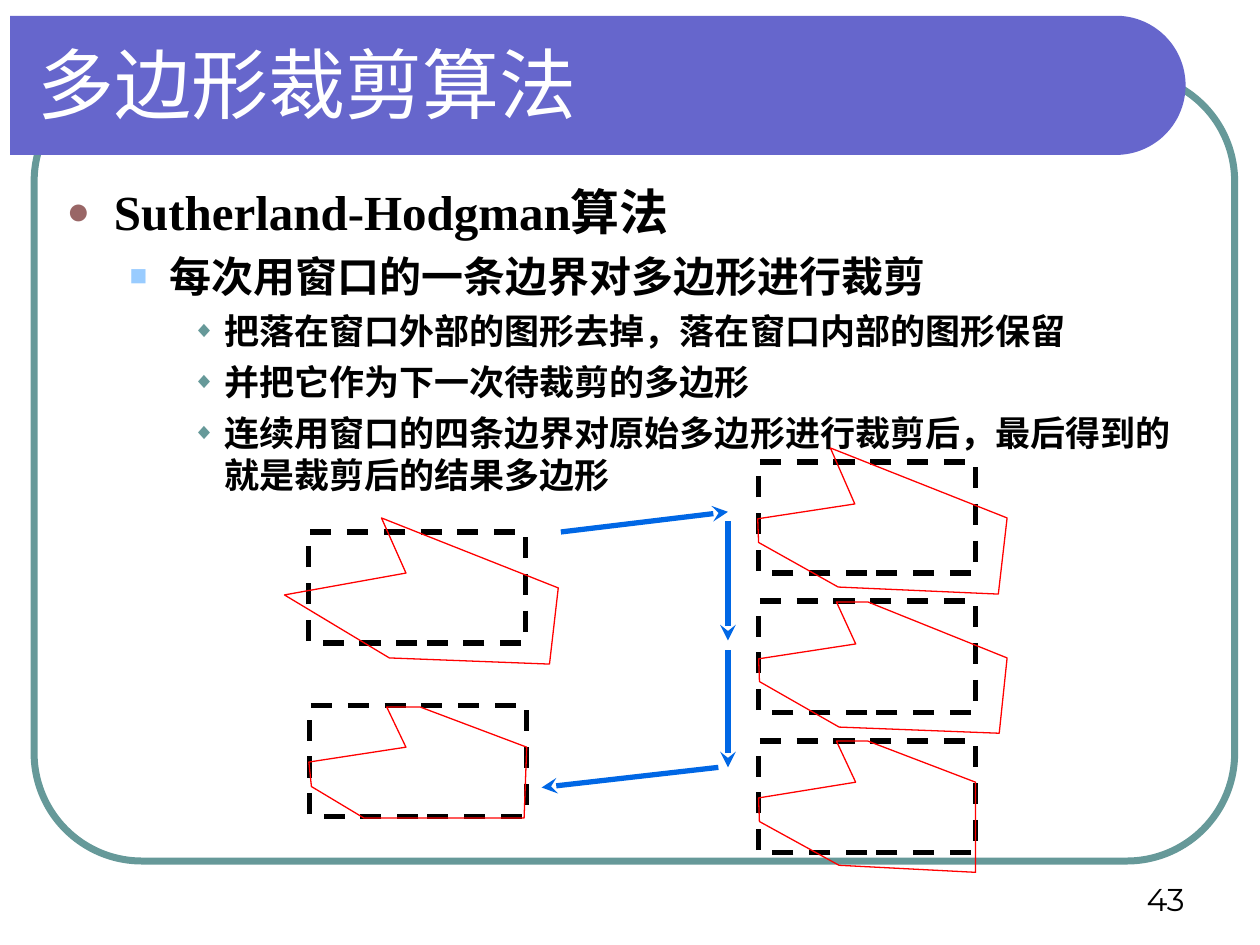
import math

from lxml import etree
from pptx import Presentation
from pptx.dml.color import RGBColor
from pptx.enum import dml, shapes, text
from pptx.oxml.ns import qn
from pptx.util import Pt

TITLE_ONLY = 5
WINDOW_SIZE = (124, 63.5)

# Bullet level: indent, hanging, space before, size, character, colour, percent
LEVELS = [
    (27, 27, 7, 28, "●", "996666", 80),
    (58.5, 22.5, 6, 24, "■", "99CCFF", 70),
    (90, 18, 5, 20, "◆", "669999", 65),
]
BULLETS = [
    (0, "Sutherland-Hodgman算法"),
    (1, "每次用窗口的一条边界对多边形进行裁剪"),
    (2, "把落在窗口外部的图形去掉，落在窗口内部的图形保留"),
    (2, "并把它作为下一次待裁剪的多边形"),
    (2, "连续用窗口的四条边界对原始多边形进行裁剪后，最后得到的就是裁剪后的结果多边形"),
]

# Each stage: window corner, then polygon points measured from that corner
STAGES = [
    ((176.5, 304), [(41.5, -8), (55.5, 23.5), (-14, 36), (46, 72),
                    (137.5, 75.5), (142.5, 32)]),
    ((433.5, 264), [(41, -8), (55, 24), (-0.5, 32.5), (0, 46), (45.5, 71.5),
                    (137, 75.5), (142, 32)]),
    ((433.5, 343.5), [(62.5, 0.5), (44.5, 0.5), (55.5, 24.5), (0, 33),
                      (0.5, 46), (46, 72), (137.5, 75.5), (142, 32.5)]),
    ((433.5, 423.5), [(62.5, 0), (44.5, 0), (55.5, 23.5), (0, 32.5),
                      (0.5, 46), (46, 71), (124, 75), (124, 23.5)]),
    ((177, 403), [(63, 1), (44, 1), (55, 24), (-0.5, 32.5), (1, 46.5),
                  (31, 64.5), (122.5, 64.5), (124, 24)]),
]
ARROWS = [
    ((320.5, 304), (416, 292.5)),
    ((416, 298), (416, 366)),
    ((416, 371.5), (416, 438.5)),
    ((410.5, 438.5), (309.5, 450)),
]


def rgb(value):
    return RGBColor.from_string(value)


class SlideBuilder:
    banner, frame = "6666CC", "669999"
    ink, polygon_red, arrow_blue = "000000", "FF0000", "0067E5"

    def __init__(self, slide):
        self.slide = slide

    def style(self, shape, fill=None, line=None, width=1):
        shape.shadow.inherit = False
        if fill:
            shape.fill.solid()
            shape.fill.fore_color.rgb = rgb(fill)
        else:
            shape.fill.background()
        if line:
            shape.line.color.rgb = rgb(line)
            shape.line.width = Pt(width)
        else:
            shape.line.fill.background()

    def preset(self, kind, left, top, width, height, line, weight):
        shape = self.slide.shapes.add_shape(
            kind, Pt(left), Pt(top), Pt(width), Pt(height))
        self.style(shape, line=line, width=weight)
        return shape

    def outline(self, points, **look):
        points = [(Pt(x), Pt(y)) for x, y in points]
        builder = self.slide.shapes.build_freeform(*points[0])
        builder.add_line_segments(points[1:], close=True)
        self.style(builder.convert_to_shape(), **look)

    def title_banner(self, left, top, right, bottom):
        """Draw a bar whose right end is a half circle."""
        radius = (bottom - top) / 2
        angles = [math.radians(a) for a in range(-90, 91, 3)]
        arc = [(right - radius + radius * math.cos(a),
                top + radius + radius * math.sin(a)) for a in angles]
        self.outline([(left, top), *arc, (left, bottom)], fill=self.banner)

    def window(self, left, top):
        shape = self.preset(shapes.MSO_SHAPE.RECTANGLE, left, top,
                            *WINDOW_SIZE, self.ink, 3)
        shape.line.dash_style = dml.MSO_LINE.DASH

    def arrow(self, start, end):
        line = self.slide.shapes.add_connector(
            shapes.MSO_CONNECTOR.STRAIGHT, *map(Pt, start + end))
        line.line.color.rgb = rgb(self.arrow_blue)
        line.line.width = Pt(3)
        etree.SubElement(line.line._get_or_add_ln(), qn("a:tailEnd"),
                         type="stealth")
        etree.SubElement(line._element.spPr, qn("a:effectLst"))

    def set_font(self, para, name, size, color, bold=False):
        para.font.name = name
        para.font.size = Pt(size)
        para.font.bold = bold
        para.font.color.rgb = rgb(color)

    def title(self, words, left, top, width, height):
        box = self.slide.shapes.title
        box.left, box.top = Pt(left), Pt(top)
        box.width, box.height = Pt(width), Pt(height)
        frame = box.text_frame
        frame.text = words
        frame.auto_size = text.MSO_AUTO_SIZE.NONE
        frame.vertical_anchor = text.MSO_ANCHOR.MIDDLE
        para = frame.paragraphs[0]
        para.alignment = text.PP_ALIGN.LEFT
        self.set_font(para, "Arial", 44, "FFFFFF")

    def text_box(self, left, top, width, height):
        box = self.slide.shapes.add_textbox(
            Pt(left), Pt(top), Pt(width), Pt(height))
        box.text_frame.word_wrap = True
        return box.text_frame

    def bullet_list(self, items, *place):
        frame = self.text_box(*place)
        for number, (level, words) in enumerate(items):
            para = frame.paragraphs[0] if number == 0 else frame.add_paragraph()
            indent, hanging, gap, size, char, color, percent = LEVELS[level]
            para.text = words
            para.level = level
            para.space_before = Pt(gap if number else 0)
            props = para._p.get_or_add_pPr()
            props.set("marL", str(Pt(indent)))
            props.set("indent", str(-Pt(hanging)))
            bullet_color = etree.SubElement(props, qn("a:buClr"))
            etree.SubElement(bullet_color, qn("a:srgbClr"), val=color)
            etree.SubElement(props, qn("a:buSzPct"), val=str(percent * 1000))
            etree.SubElement(props, qn("a:buFont"), typeface="Arial")
            etree.SubElement(props, qn("a:buChar"), char=char)
            self.set_font(para, "Times New Roman", size, self.ink, bold=True)

    def page_number(self, words, *place):
        frame = self.text_box(*place)
        frame.vertical_anchor = text.MSO_ANCHOR.BOTTOM
        para = frame.paragraphs[0]
        para.text = words
        para.alignment = text.PP_ALIGN.RIGHT
        self.set_font(para, "Montserrat", 18, self.ink)


def main():
    deck = Presentation()
    deck.slide_width, deck.slide_height = Pt(720), Pt(540)
    page = SlideBuilder(deck.slides.add_slide(deck.slide_layouts[TITLE_ONLY]))

    frame = page.preset(shapes.MSO_SHAPE.ROUNDED_RECTANGLE,
                        19.5, 42, 686, 450, page.frame, 4)
    frame.adjustments[0] = 0.137
    page.title_banner(5.75, 9, 677.5, 88.5)
    # Keep the title in front of the banner
    tree = page.slide.shapes._spTree
    tree.append(page.slide.shapes.title._element)
    page.title("多边形裁剪算法", 14.5, 9.5, 661, 75.5)
    page.bullet_list(BULLETS, 31, 100, 663, 386)
    page.page_number("43", 516, 492, 168, 36)

    for (left, top), polygon in STAGES:
        page.window(left, top)
        page.outline([(left + x, top + y) for x, y in polygon],
                     line=page.polygon_red, width=0.75)
    for start, end in ARROWS:
        page.arrow(start, end)

    deck.save("out.pptx")


if __name__ == "__main__":
    main()
